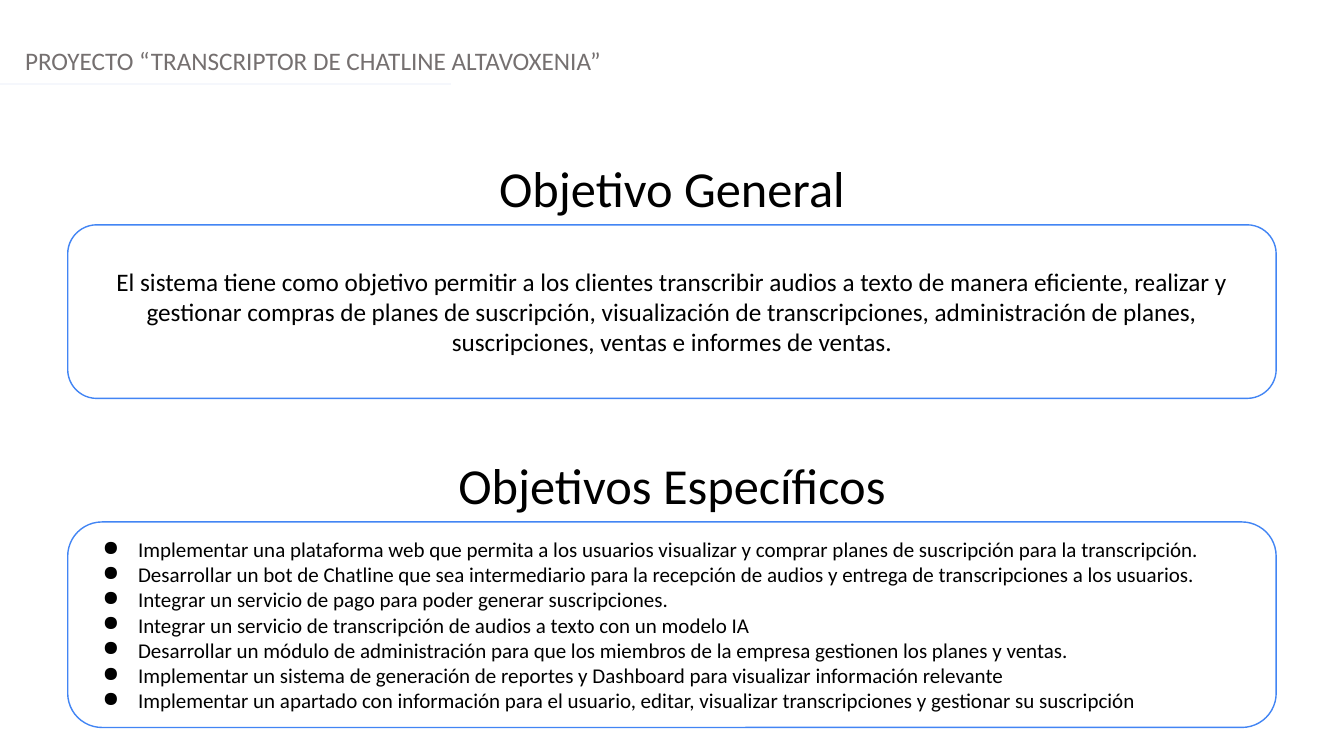
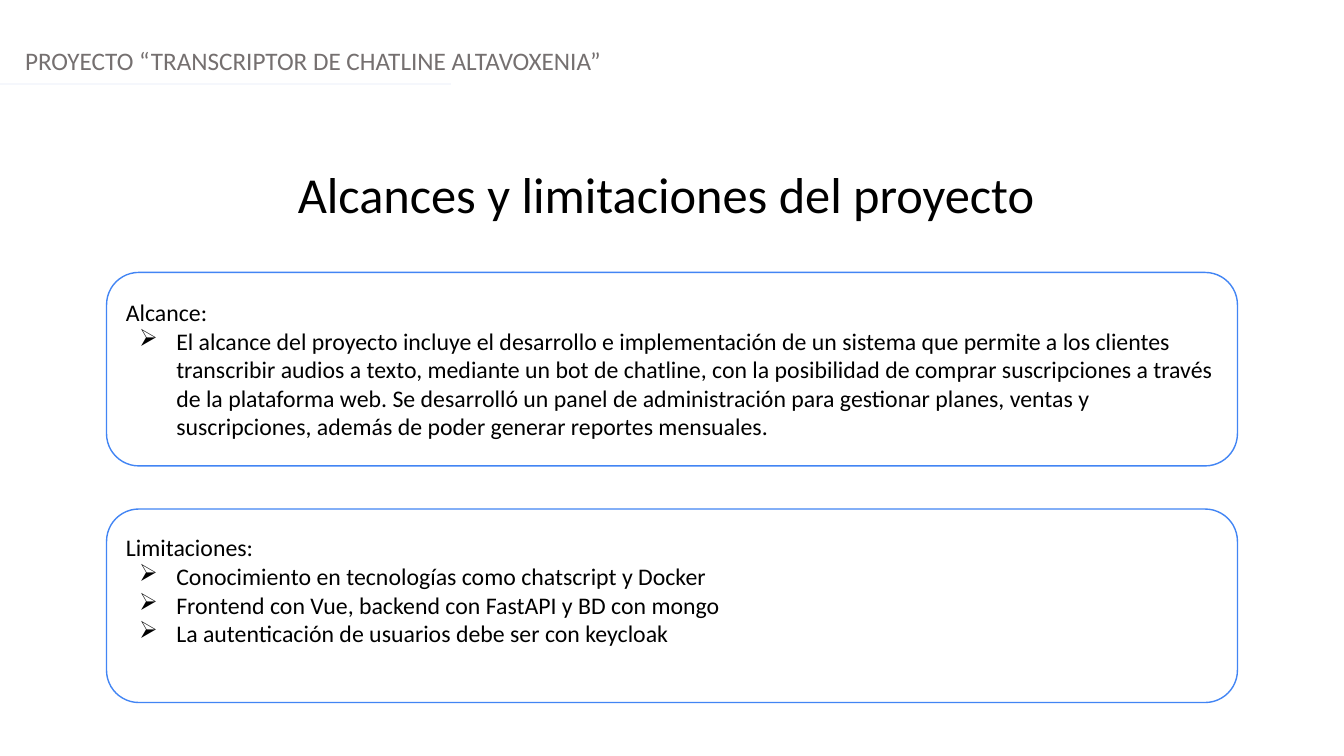
from lxml import etree
from pptx import Presentation
from pptx.dml.color import RGBColor
from pptx.enum.shapes import MSO_CONNECTOR, MSO_SHAPE
from pptx.enum.text import MSO_ANCHOR, PP_ALIGN
from pptx.oxml.ns import qn
from pptx.util import Pt

LEFT, CENTER = PP_ALIGN.LEFT, PP_ALIGN.CENTER
MIDDLE = MSO_ANCHOR.MIDDLE
ROUNDED = MSO_SHAPE.ROUNDED_RECTANGLE
STRAIGHT = MSO_CONNECTOR.STRAIGHT

SLIDE_WIDTH, SLIDE_HEIGHT = 960, 540
TITLE_HEIGHT = 51.2
PROJECT = "PROYECTO “TRANSCRIPTOR DE CHATLINE ALTAVOXENIA”"

GENERAL_GOAL = (
    "El sistema tiene como objetivo permitir a los clientes transcribir audios a texto "
    "de manera eficiente, realizar y gestionar compras de planes de suscripción, "
    "visualización de transcripciones, administración de planes, suscripciones, ventas "
    "e informes de ventas."
)
SPECIFIC_GOALS = [
    "Implementar una plataforma web que permita a los usuarios visualizar y comprar "
    "planes de suscripción para la transcripción.",
    "Desarrollar un bot de Chatline que sea intermediario para la recepción de audios "
    "y entrega de transcripciones a los usuarios.",
    "Integrar un servicio de pago para poder generar suscripciones.",
    "Integrar un servicio de transcripción de audios a texto con un modelo IA",
    "Desarrollar un módulo de administración para que los miembros de la empresa "
    "gestionen los planes y ventas.",
    "Implementar un sistema de generación de reportes y Dashboard para visualizar "
    "información relevante",
    "Implementar un apartado con información para el usuario, editar, visualizar "
    "transcripciones y gestionar su suscripción",
]
SCOPE = [
    "El alcance del proyecto incluye el desarrollo e implementación de un sistema que "
    "permite a los clientes transcribir audios a texto, mediante un bot de chatline, con "
    "la posibilidad de comprar suscripciones a través de la plataforma web. Se desarrolló "
    "un panel de administración para gestionar planes, ventas y suscripciones, además de "
    "poder generar reportes mensuales.",
]
LIMITATIONS = [
    "Conocimiento en tecnologías como chatscript y Docker",
    "Frontend con Vue, backend con FastAPI y BD con mongo",
    "La autenticación de usuarios debe ser con keycloak",
]


class Deck:
    FONT = "Calibri"
    COLORS = {"text": "000000", "header": "757070", "rule": "F5F7FC",
              "panel": "FFFFFF", "border": "4285F4"}

    def __init__(self):
        self.presentation = Presentation()
        self.presentation.slide_width = Pt(SLIDE_WIDTH)
        self.presentation.slide_height = Pt(SLIDE_HEIGHT)
        self.slide = None

    def color(self, name):
        return RGBColor.from_string(self.COLORS[name])

    def new_slide(self):
        """Start a slide with the project header and its rule."""
        self.slide = self.presentation.slides.add_slide(self.presentation.slide_layouts[6])
        self.label(PROJECT, 10.8, 28.8, SLIDE_WIDTH - 10.8, 28.8, 18, LEFT, "header")
        rule = self.slide.shapes.add_connector(STRAIGHT, 0, Pt(59.8), Pt(322), Pt(59.8))
        rule.line.color.rgb = self.color("rule")
        rule.line.width = Pt(1.25)
        etree.SubElement(rule._element.spPr, qn("a:effectLst"))

    def label(self, text, left, top, width, height, size, align, color="text"):
        box = self.slide.shapes.add_textbox(Pt(left), Pt(top), Pt(width), Pt(height))
        box.text_frame.word_wrap = True
        self.add_text(box.text_frame.paragraphs[0], text, size, align, color)

    def title(self, text, top):
        self.label(text, 0, top, SLIDE_WIDTH, TITLE_HEIGHT, 36, CENTER)

    def panel(self, top, width, height, bottom_inset=3.6):
        """Add a horizontally centred rounded panel and return its text frame."""
        panel = self.slide.shapes.add_shape(
            ROUNDED, Pt((SLIDE_WIDTH - width) / 2), Pt(top), Pt(width), Pt(height))
        panel.shadow.inherit = False
        panel.fill.solid()
        panel.fill.fore_color.rgb = self.color("panel")
        panel.line.color.rgb = self.color("border")
        panel.line.width = Pt(1)
        frame = panel.text_frame
        frame.word_wrap = True
        frame.vertical_anchor = MIDDLE
        frame.margin_bottom = Pt(bottom_inset)
        return frame

    def bullets(self, frame, items, symbol, size, hanging, heading=None):
        paragraph = frame.paragraphs[0]
        if heading:
            self.add_text(paragraph, heading, size, LEFT)
        for index, item in enumerate(items):
            if index or heading:
                paragraph = frame.add_paragraph()
            properties = paragraph._p.get_or_add_pPr()
            properties.set("marL", str(Pt(36)))
            properties.set("indent", str(-Pt(hanging)))
            bullet_color = etree.SubElement(properties, qn("a:buClr"))
            etree.SubElement(bullet_color, qn("a:srgbClr"), val=self.COLORS["text"])
            etree.SubElement(properties, qn("a:buChar"), char=symbol)
            self.add_text(paragraph, item, size, LEFT)

    def add_text(self, paragraph, text, size, align, color="text"):
        paragraph.alignment = align
        run = paragraph.add_run()
        run.text = text
        run.font.name = self.FONT
        run.font.size = Pt(size)
        run.font.color.rgb = self.color(color)


def objectives(deck):
    deck.new_slide()
    width, general_top, specific_top = 863.2, 160.6, 372.8
    deck.title("Objetivo General", general_top - TITLE_HEIGHT - 0.6)
    deck.title("Objetivos Específicos", specific_top - TITLE_HEIGHT - 0.6)
    general = deck.panel(general_top, width, 124)
    deck.add_text(general.paragraphs[0], GENERAL_GOAL, 18, CENTER)
    specific = deck.panel(specific_top, width, 146.8)
    deck.bullets(specific, SPECIFIC_GOALS, "●", 15, 25.2)


def scope_and_limitations(deck):
    deck.new_slide()
    deck.title("Alcances y limitaciones del proyecto ", 113)
    sections = [("Alcance:", SCOPE, 3.6), ("Limitaciones:", LIMITATIONS, 25.6)]
    for row, (heading, items, bottom_inset) in enumerate(sections):
        frame = deck.panel(194.6 + row * 169, 807.8, 138.2, bottom_inset)
        deck.bullets(frame, items, "➢", 17, 26.6, heading)


def main():
    deck = Deck()
    objectives(deck)
    scope_and_limitations(deck)
    deck.presentation.save("out.pptx")


if __name__ == "__main__":
    main()
